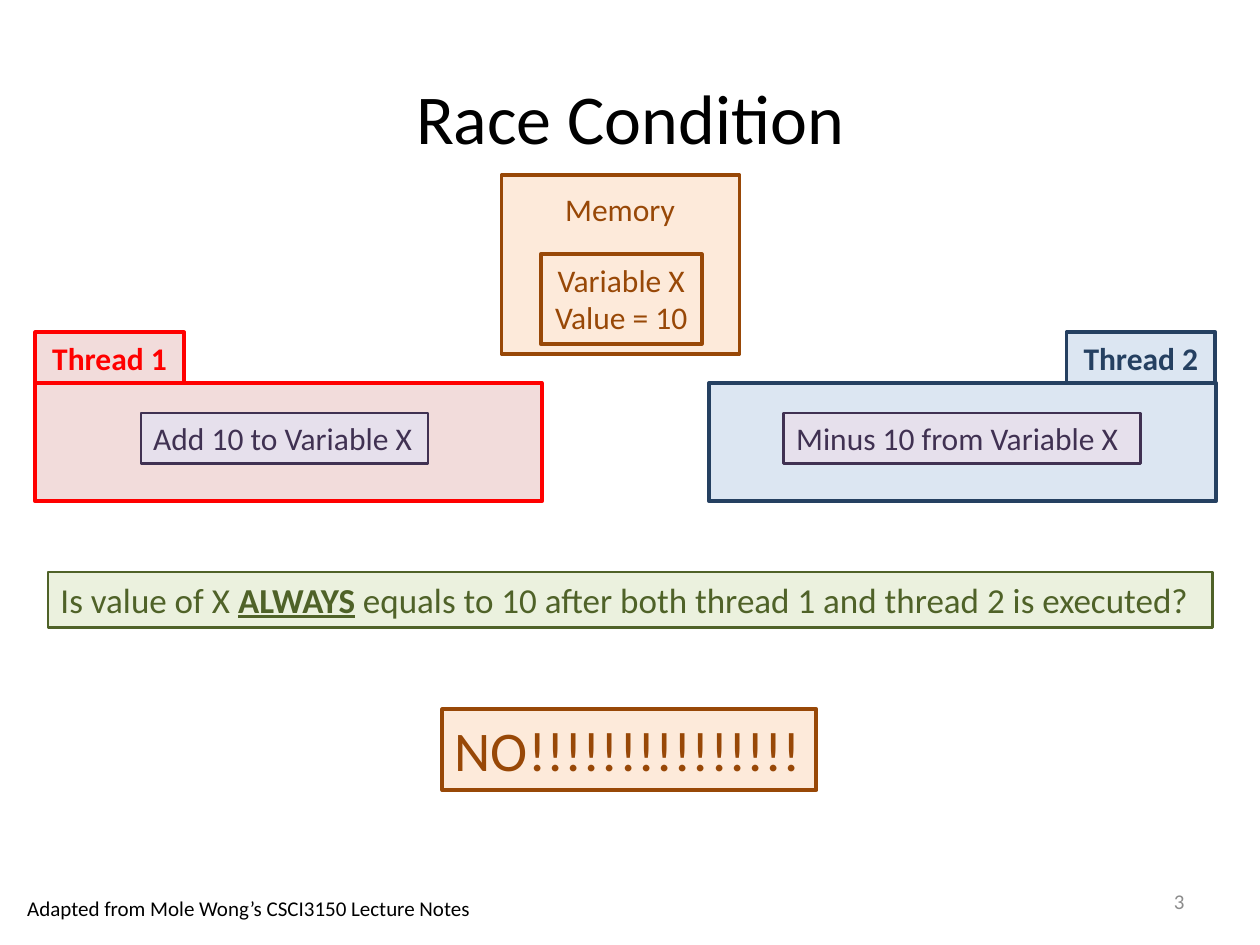
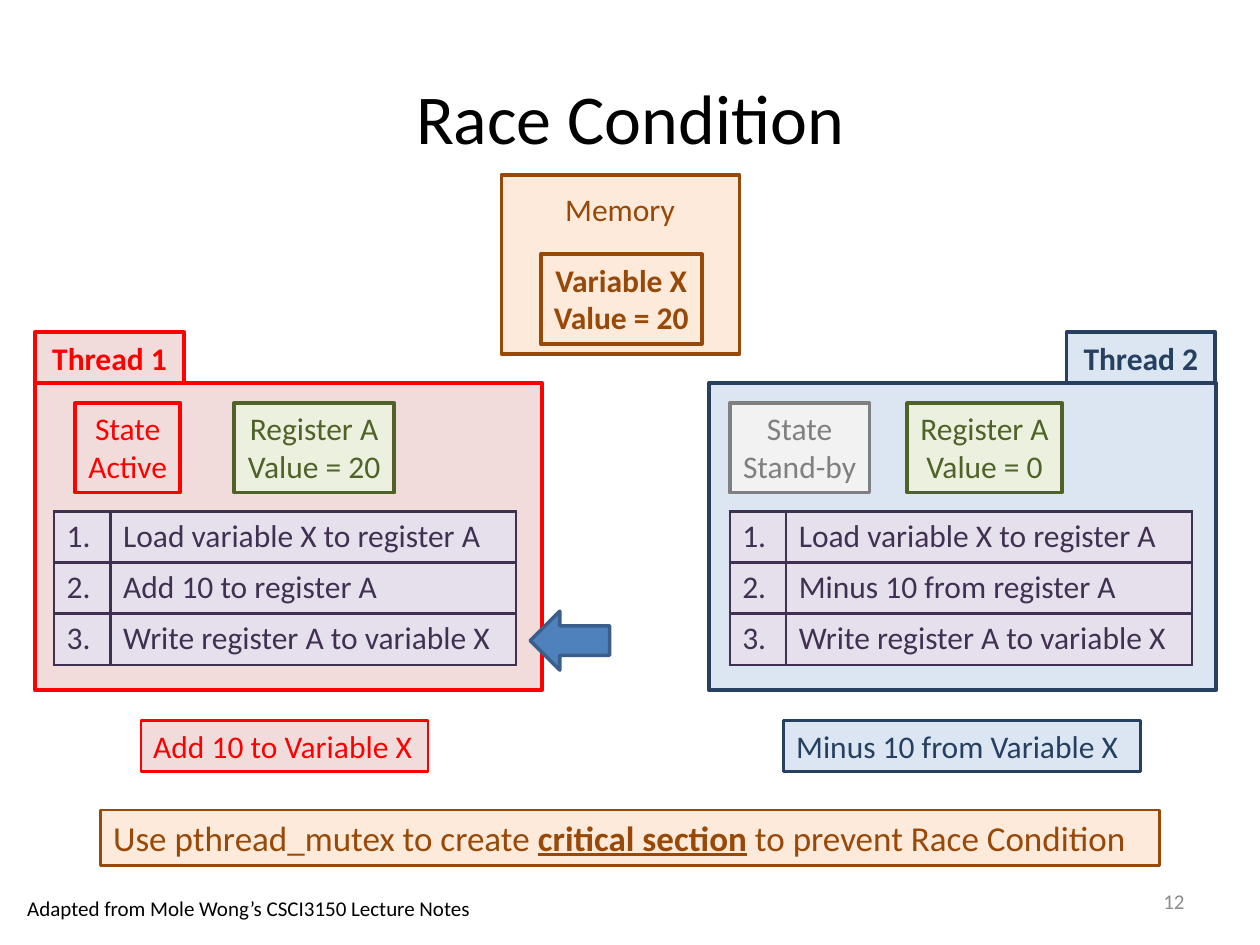
import pptx
import pptx.dml.color
import pptx.enum.shapes
import pptx.enum.text
import pptx.oxml
import pptx.oxml.ns
import pptx.util
from dataclasses import dataclass

Cm = pptx.util.Cm
Pt = pptx.util.Pt
Align = pptx.enum.text.PP_ALIGN
Anchor = pptx.enum.text.MSO_ANCHOR
Shape = pptx.enum.shapes.MSO_SHAPE


@dataclass(frozen=True)
class Tone:
    fill: str
    ink: str


@dataclass(frozen=True)
class Theme:
    font = "Calibri"
    black = "000000"
    page_grey = "8C8C8C"
    red = Tone("F2DCDB", "FF0000")
    blue = Tone("DCE6F2", "254061")
    orange = Tone("FDEADA", "984807")
    green = Tone("EBF1DE", "4F6228")
    purple = Tone("E6E0EC", "403152")
    grey = Tone("F2F2F2", "808080")
    pointer = Tone("4F81BD", "3A5F8C")
    title, answer, message, body, footer = 40, 32, 20, 18, 12
    thin, medium, thick = 1.5, 2, 2.25


THEME = Theme()

TITLE = "Race Condition"
CREDIT = "Adapted from Mole Wong’s CSCI3150 Lecture Notes"
THREADS = [
    dict(name="Thread 1", tone=THEME.red, left=0.71, tab_left=0.71,
         task="Add 10 to Variable X", task_left=2.84, task_width=5.79),
    dict(name="Thread 2", tone=THEME.blue, left=14.3, tab_left=21.5,
         task="Minus 10 from Variable X", task_left=15.8, task_width=7.19),
]
RUNNING = [
    dict(state="State\nActive", state_tone=THEME.red, state_at=(1.52, 2.11),
         register="Register A\nValue = 20", register_at=(4.72, 3.23), steps_left=1.09,
         steps=["Load variable X to register A", "Add 10 to register A",
                "Write register A to variable X"]),
    dict(state="State\nStand-by", state_tone=THEME.grey, state_at=(14.71, 2.82),
         register="Register A\nValue = 0", register_at=(18.29, 3.12), steps_left=14.71,
         steps=["Load variable X to register A", "Minus 10 from register A",
                "Write register A to variable X"]),
]
QUESTION = "Is value of X **ALWAYS** equals to 10 after both thread 1 and thread 2 is executed?"
ANSWER = "NO!!!!!!!!!!!!!!!"
ADVICE = "Use pthread_mutex to create **critical section** to prevent Race Condition"

LINE_HEIGHT, PAIR_HEIGHT, MESSAGE_HEIGHT = 1.02, 1.8, 1.12
THREAD_TOP, THREAD_WIDTH, TAB_WIDTH = 7.72, 10.21, 3.0
PAIR_TOP, STEPS_TOP, STEP_HEIGHT = 8.13, 10.31, 1.03
STEP_COLUMNS = (1.14, 8.18)


def rgb(value):
    return pptx.dml.color.RGBColor.from_string(value)


def write(frame, text, *, size=THEME.body, color=THEME.black, bold=False,
          align=Align.LEFT, anchor=Anchor.TOP, wrap=True):
    frame.word_wrap = wrap
    frame.vertical_anchor = anchor
    for number, line in enumerate(text.split("\n")):
        paragraph = frame.add_paragraph() if number else frame.paragraphs[0]
        paragraph.alignment = align
        for index, part in enumerate(line.split("**")):
            stressed = index % 2 == 1
            run = paragraph.add_run()
            run.text = part
            run.font.name = THEME.font
            run.font.size = Pt(size)
            run.font.color.rgb = rgb(color)
            run.font.bold = bold or stressed
            run.font.underline = stressed


def label(slide, text, box, **style):
    write(slide.shapes.add_textbox(*map(Cm, box)).text_frame, text, **style)


def panel(slide, box, tone, text="", *, kind=Shape.RECTANGLE, weight=THEME.thick, **style):
    shape = slide.shapes.add_shape(kind, *map(Cm, box))
    shape.shadow.inherit = False
    shape.fill.solid()
    shape.fill.fore_color.rgb = rgb(tone.fill)
    shape.line.color.rgb = rgb(tone.ink)
    shape.line.width = Pt(weight)
    if text:
        write(shape.text_frame, text, color=tone.ink, **style)


def pair(slide, left, top, width, tone, text, bold=False):
    panel(slide, (left, top, width, PAIR_HEIGHT), tone, text,
          bold=bold, align=Align.CENTER, wrap=False)


def outline_cell(cell, tone):
    properties = cell._tc.get_or_add_tcPr()
    for position, side in enumerate(("lnL", "lnR", "lnT", "lnB")):
        border = pptx.oxml.parse_xml(
            f'<a:{side} {pptx.oxml.ns.nsdecls("a")} w="{Pt(THEME.thin)}">'
            f'<a:solidFill><a:srgbClr val="{tone.ink}"/></a:solidFill></a:{side}>')
        properties.insert(position, border)


def step_table(slide, left, steps):
    tone = THEME.purple
    table = slide.shapes.add_table(
        len(steps), len(STEP_COLUMNS), Cm(left), Cm(STEPS_TOP),
        Cm(sum(STEP_COLUMNS)), Cm(STEP_HEIGHT * len(steps))).table
    table.first_row = table.horz_banding = False
    for column, width in zip(table.columns, STEP_COLUMNS):
        column.width = Cm(width)
    for number, step in enumerate(steps):
        for column, text in enumerate((f"{number + 1}.", step)):
            cell = table.cell(number, column)
            cell.fill.solid()
            cell.fill.fore_color.rgb = rgb(tone.fill)
            outline_cell(cell, tone)
            write(cell.text_frame, text, color=tone.ink)


def base_slide(deck, page, value, value_bold, thread_height):
    slide = deck.slides.add_slide(deck.slide_layouts[5])
    title = slide.shapes.title
    title.left, title.top, title.width, title.height = map(Cm, (1.27, 0.76, 22.86, 3.18))
    write(title.text_frame, TITLE, size=THEME.title, align=Align.CENTER, anchor=Anchor.MIDDLE)
    label(slide, page, (18.21, 17.65, 5.92, LINE_HEIGHT), size=THEME.footer,
          color=THEME.page_grey, align=Align.RIGHT, anchor=Anchor.MIDDLE)
    label(slide, CREDIT, (0.3, 17.93, 9.55, 0.76), size=THEME.footer)

    panel(slide, (10.11, 3.53, 4.8, 3.61), THEME.orange, weight=THEME.medium)
    label(slide, "Memory", (11.13, 3.71, 2.74, LINE_HEIGHT), color=THEME.orange.ink,
          align=Align.CENTER, wrap=False)
    pair(slide, 10.9, 5.13, 3.25, THEME.orange, f"Variable X\nValue = {value}", value_bold)

    for thread in THREADS:
        panel(slide, (thread["left"], THREAD_TOP, THREAD_WIDTH, thread_height), thread["tone"])
        panel(slide, (thread["tab_left"], THREAD_TOP - LINE_HEIGHT, TAB_WIDTH, LINE_HEIGHT),
              thread["tone"], thread["name"], bold=True, align=Align.CENTER)
    return slide


def add_tasks(slide, top, tones):
    for thread, tone in zip(THREADS, tones):
        panel(slide, (thread["task_left"], top, thread["task_width"], LINE_HEIGHT),
              tone, thread["task"], weight=THEME.thin)


def question_slide(deck):
    slide = base_slide(deck, "3", 10, False, 2.39)
    add_tasks(slide, 8.33, [THEME.purple] * len(THREADS))
    panel(slide, (0.97, 11.53, 23.47, MESSAGE_HEIGHT), THEME.green, QUESTION,
          size=THEME.message, weight=THEME.thin)
    panel(slide, (8.92, 14.3, 7.54, 1.63), THEME.orange, ANSWER, size=THEME.answer)


def execution_slide(deck):
    slide = base_slide(deck, "12", 20, True, 6.2)
    for run in RUNNING:
        for text, tone, (left, width) in (
                (run["state"], run["state_tone"], run["state_at"]),
                (run["register"], THEME.green, run["register_at"])):
            pair(slide, left, PAIR_TOP, width, tone, text)
        step_table(slide, run["steps_left"], run["steps"])
    panel(slide, (10.69, 12.32, 1.6, 1.19), THEME.pointer,
          kind=Shape.LEFT_ARROW, weight=THEME.medium)
    add_tasks(slide, 14.53, [thread["tone"] for thread in THREADS])
    panel(slide, (2.03, 16.33, 21.34, MESSAGE_HEIGHT), THEME.orange, ADVICE,
          size=THEME.message, weight=THEME.thin)


def main():
    deck = pptx.Presentation()
    deck.slide_width, deck.slide_height = Cm(25.4), Cm(19.05)
    question_slide(deck)
    execution_slide(deck)
    deck.save("out.pptx")


if __name__ == "__main__":
    main()
